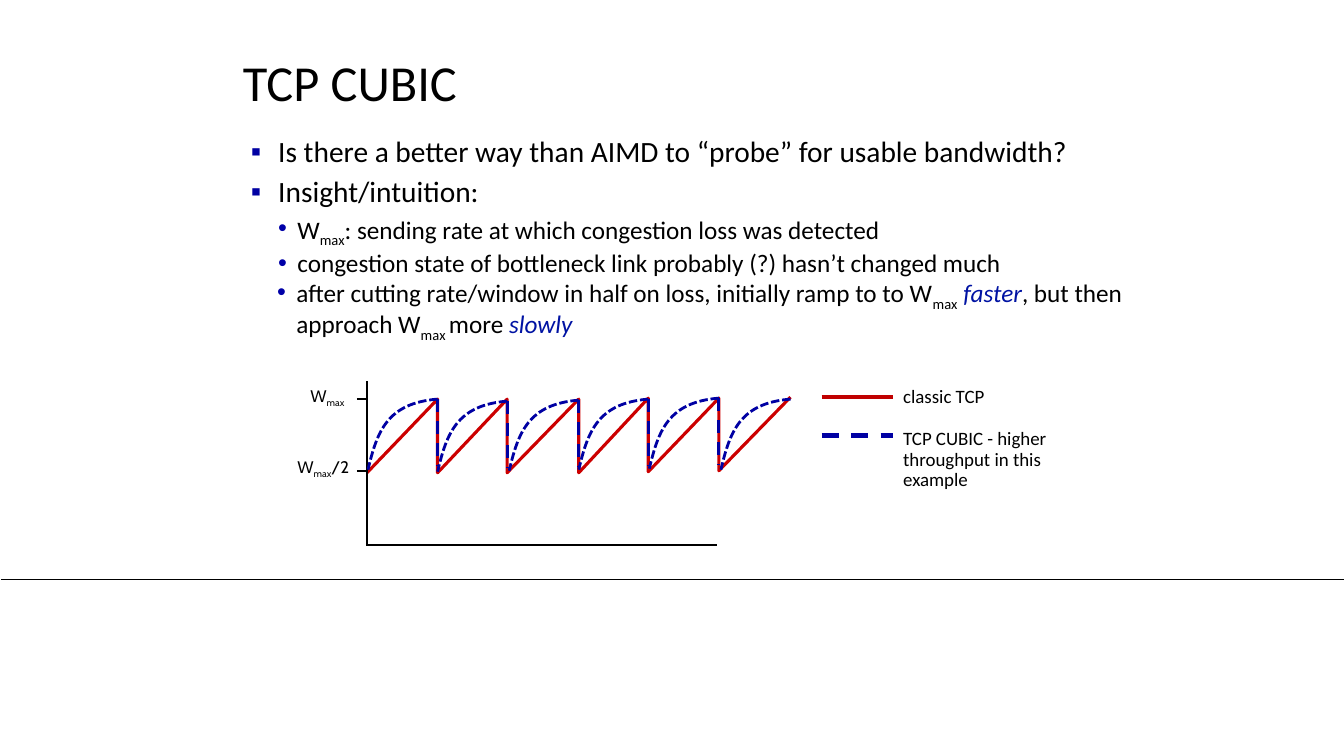
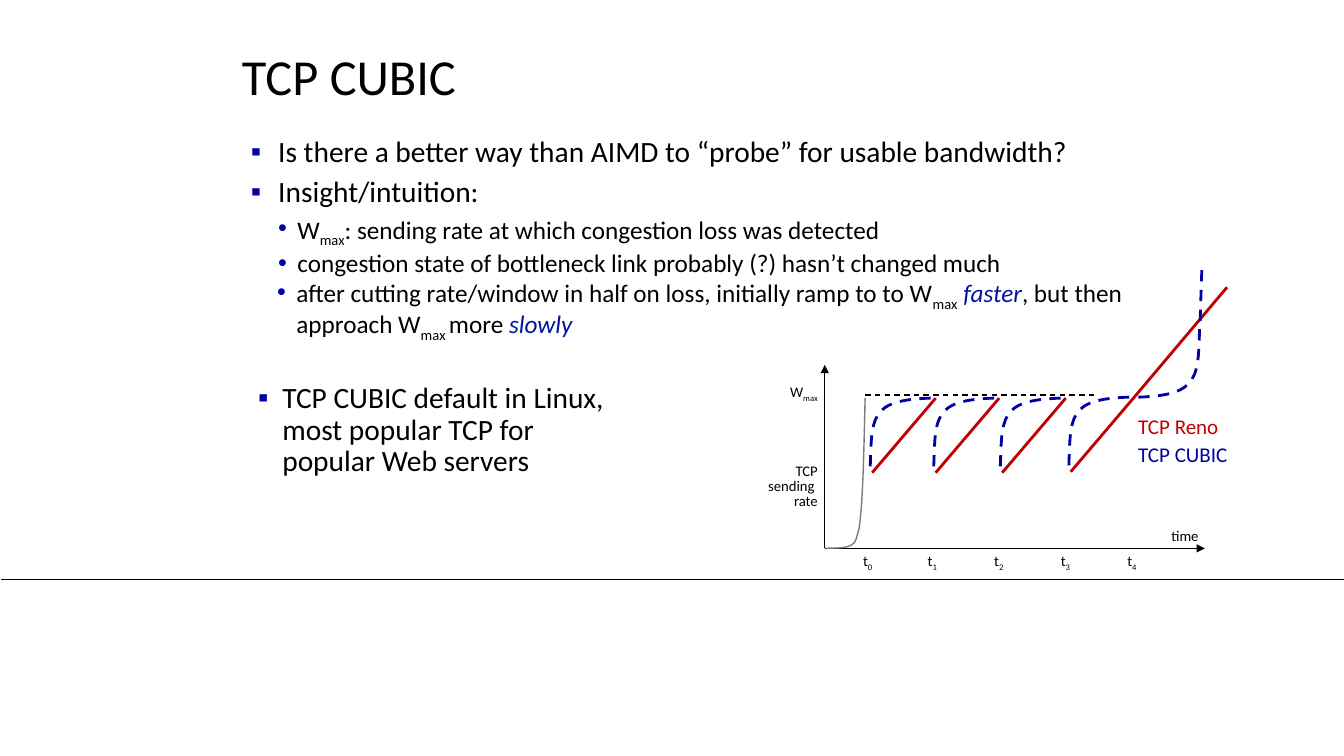
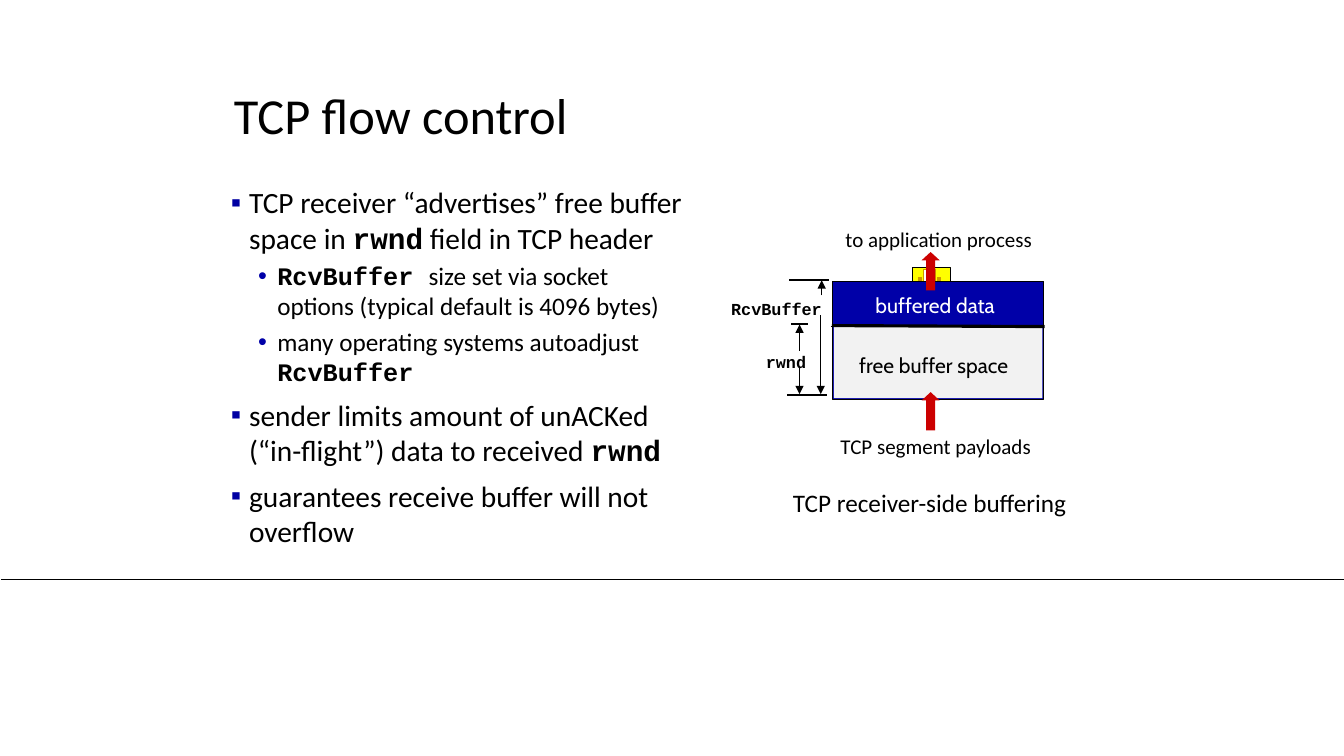
from dataclasses import dataclass
from typing import Optional, Sequence

from lxml.etree import SubElement
from pptx import Presentation
from pptx.dml.color import RGBColor
from pptx.enum.dml import MSO_LINE
from pptx.enum.shapes import MSO_CONNECTOR, MSO_SHAPE
from pptx.enum.text import MSO_ANCHOR, MSO_AUTO_SIZE, PP_ALIGN
from pptx.oxml.ns import qn
from pptx.presentation import Presentation as Deck
from pptx.slide import Slide
from pptx.util import Inches, Pt

BLACK = RGBColor(0x00, 0x00, 0x00)
WHITE = RGBColor(0xFF, 0xFF, 0xFF)
RED = RGBColor(0xCC, 0x00, 0x00)
DARK_RED = RGBColor(0xC0, 0x00, 0x00)
BLUE = RGBColor(0x00, 0x00, 0xA3)
BUFFER_BLUE = RGBColor(0x00, 0x00, 0xA8)
EMPHASIS_BLUE = RGBColor(0x00, 0x13, 0xA3)
GRAY = RGBColor(0x7C, 0x7C, 0x7C)
LIGHT_GRAY = RGBColor(0xF2, 0xF2, 0xF2)
YELLOW = RGBColor(0xFF, 0xFF, 0x00)
GOLD = RGBColor(0xCC, 0x99, 0x00)

BODY_FONT = "Calibri"
LABEL_FONT = "Cabin"
CODE_FONT = "Courier New"
BULLET_FONT = "Arial"

Point = tuple[float, float]
Curve = tuple[Point, Point, Point]
Area = tuple[float, float, float, float]


@dataclass(frozen=True)
class Span:
    text: str
    color: RGBColor = BLACK
    font: str = BODY_FONT
    bold: bool = False
    italic: bool = False
    subscript: bool = False


@dataclass(frozen=True)
class BulletStyle:
    symbol: str
    color: RGBColor
    margin: float
    hanging: float
    level: int = 0


@dataclass(frozen=True)
class Para:
    spans: Sequence[Span]
    size: float
    align: PP_ALIGN = PP_ALIGN.LEFT
    line_spacing: float = 1.0
    space_before: float = 0
    bullet: Optional[BulletStyle] = None


@dataclass(frozen=True)
class Stroke:
    color: RGBColor
    width: float
    dash: Optional[MSO_LINE] = None


SQUARE = BulletStyle("▪", BLUE, 0.38, 0.27)
SHORT_SQUARE = BulletStyle("▪", BLUE, 0.38, 0.24)
NARROW_SQUARE = BulletStyle("▪", BLUE, 0.29, 0.18)
DOT = BulletStyle("•", BUFFER_BLUE, 0.57, 0.19, 1)

HAIRLINE = Stroke(BLACK, 0.5)
THIN = Stroke(BLACK, 0.75)
AXIS = Stroke(BLACK, 1)
THICK = Stroke(BLACK, 1.5)


def code(text: str) -> Span:
    return Span(text, font=CODE_FONT, bold=True)


def sub(text: str, font: str = BODY_FONT) -> Span:
    return Span(text, font=font, subscript=True)


def main_point(*spans: Span, bullet: BulletStyle = SQUARE, spacing: float = 0.9) -> Para:
    return Para(spans, 21, line_spacing=spacing, space_before=7.5, bullet=bullet)


def sub_point(*spans: Span, spacing: float = 0.9) -> Para:
    return Para(spans, 18, line_spacing=spacing, space_before=3.8, bullet=DOT)


def add_bullet(paragraph, style: BulletStyle) -> None:
    paragraph.level = style.level
    properties = paragraph._p.get_or_add_pPr()
    properties.set("marL", str(Inches(style.margin)))
    properties.set("indent", str(-Inches(style.hanging)))
    color = SubElement(properties, qn("a:buClr"))
    SubElement(color, qn("a:srgbClr")).set("val", str(style.color))
    SubElement(properties, qn("a:buFont")).set("typeface", BULLET_FONT)
    SubElement(properties, qn("a:buChar")).set("char", style.symbol)


def write_paras(frame, paras: Sequence[Para]) -> None:
    for index, para in enumerate(paras):
        paragraph = frame.add_paragraph() if index else frame.paragraphs[0]
        if para.bullet:
            add_bullet(paragraph, para.bullet)
        paragraph.alignment = para.align
        paragraph.line_spacing = para.line_spacing
        paragraph.space_before = Pt(para.space_before if index else 0)
        for span in para.spans:
            run = paragraph.add_run()
            run.text = span.text
            font = run.font
            font.name, font.size = span.font, Pt(para.size)
            font.bold, font.italic = span.bold, span.italic
            font.color.rgb = span.color
            if span.subscript:
                run._r.get_or_add_rPr().set("baseline", "-25000")


def add_text(page: Slide, area: Area, *paras: Para, wrap: bool = False) -> None:
    frame = page.shapes.add_textbox(*map(Inches, area)).text_frame
    frame.word_wrap = wrap
    frame.auto_size = MSO_AUTO_SIZE.SHAPE_TO_FIT_TEXT
    write_paras(frame, paras)


def add_body(page: Slide, area: Area, *paras: Para) -> None:
    frame = page.shapes.add_textbox(*map(Inches, area)).text_frame
    frame.word_wrap = True
    frame.margin_left = frame.margin_right = Inches(0.07)
    frame.margin_top = frame.margin_bottom = Inches(0.04)
    write_paras(frame, paras)


def apply_stroke(line, stroke: Stroke) -> None:
    line.color.rgb = stroke.color
    line.width = Pt(stroke.width)
    if stroke.dash:
        line.dash_style = stroke.dash


def add_line(page: Slide, start: Point, end: Point, stroke: Stroke, arrow: bool = False):
    connector = page.shapes.add_connector(
        MSO_CONNECTOR.STRAIGHT, *map(Inches, start), *map(Inches, end)
    )
    apply_stroke(connector.line, stroke)
    if arrow:
        outline = connector.line._get_or_add_ln()
        SubElement(outline, qn("a:tailEnd")).set("type", "triangle")
    SubElement(connector._element.spPr, qn("a:effectLst"))
    return connector


def add_outline(page: Slide, points: Sequence[Point], stroke: Stroke):
    first, *rest = [(Inches(x), Inches(y)) for x, y in points]
    builder = page.shapes.build_freeform(*first)
    builder.add_line_segments(rest, close=False)
    shape = builder.convert_to_shape()
    shape.shadow.inherit = False
    shape.fill.background()
    apply_stroke(shape.line, stroke)
    return shape


def add_curve(page: Slide, start: Point, curves: Sequence[Curve], stroke: Stroke) -> None:
    shape = add_outline(page, [start, *(curve[-1] for curve in curves)], stroke)
    segments = list(shape._element.iter(qn("a:lnTo")))
    for segment, curve in zip(segments, curves):
        bend = segment.getparent().makeelement(qn("a:cubicBezTo"))
        for x, y in curve:
            point = SubElement(bend, qn("a:pt"))
            point.set("x", str(Inches(x) - shape.left))
            point.set("y", str(Inches(y) - shape.top))
        segment.getparent().replace(segment, bend)


def add_ramp(page: Slide, offsets: Sequence[Point], left: float, top: float, stroke: Stroke):
    start, *curve = [(left + x, top + y) for x, y in offsets]
    add_curve(page, start, [tuple(curve)], stroke)


def add_block(
    page: Slide, kind: MSO_SHAPE, area: Area, fill: RGBColor, stroke: Optional[Stroke] = None
):
    shape = page.shapes.add_shape(kind, *map(Inches, area))
    shape.shadow.inherit = False
    shape.fill.solid()
    shape.fill.fore_color.rgb = fill
    if stroke:
        apply_stroke(shape.line, stroke)
    else:
        shape.line.fill.background()
    return shape


def new_page(deck: Deck, title: str, left: float, top: float) -> Slide:
    page = deck.slides.add_slide(deck.slide_layouts[5])
    box = page.shapes.title
    box.left, box.top = Inches(left), Inches(top)
    box.width, box.height = Inches(9.34), Inches(0.73)
    frame = box.text_frame
    frame.vertical_anchor = MSO_ANCHOR.MIDDLE
    frame.auto_size = MSO_AUTO_SIZE.NONE
    write_paras(frame, [Para([Span(title)], 36, line_spacing=0.9)])
    return page


def add_layout_rule(page: Slide) -> None:
    rule = add_line(page, (0.01, 5.75), (13.35, 5.75), HAIRLINE)
    page.slide_layout.shapes._spTree.append(rule._element)


def add_cubic_insight(page: Slide) -> None:
    add_body(
        page,
        (2.31, 1.32, 9.16, 3.81),
        main_point(Span("Is there a better way than AIMD to “probe” for usable bandwidth?")),
    )
    add_body(
        page,
        (2.31, 1.72, 9.16, 3.81),
        main_point(Span("Insight/intuition:")),
        sub_point(
            Span("W"), sub("max"), Span(": sending rate at which congestion loss was detected")
        ),
        sub_point(Span("congestion state of bottleneck link probably (?) hasn’t changed much")),
    )
    add_body(
        page,
        (2.3, 2.72, 9.16, 0.74),
        sub_point(
            Span("after cutting rate/window in half on loss, initially ramp to to W"),
            sub("max"),
            Span(" faster", EMPHASIS_BLUE, italic=True),
            Span(", but then approach W"),
            sub("max "),
            Span("more "),
            Span("slowly", EMPHASIS_BLUE, italic=True),
        ),
    )


def build_sawtooth(deck: Deck) -> None:
    page = new_page(deck, "TCP CUBIC", 2.31, 0.48)
    add_layout_rule(page)
    add_cubic_insight(page)

    edges = (3.64, 4.34, 5.03, 5.74, 6.43, 7.13, 7.84)
    valleys = (4.69, 4.69, 4.69, 4.69, 4.68, 4.67)
    crests = (3.96, 3.96, 3.96, 3.95, 3.95, 3.94)
    sawtooth = [
        point
        for left, right, valley, crest in zip(edges, edges[1:], valleys, crests)
        for point in ((left, valley), (right, crest))
    ]
    add_outline(page, sawtooth, Stroke(RED, 2.25))

    add_line(page, (3.63, 5.41), (7.11, 5.41), THICK)
    add_line(page, (3.64, 3.78), (3.64, 5.42), THICK)
    for tick in (3.96, 4.67):
        add_line(page, (3.54, tick), (3.64, tick), THICK)
    w_max = [Span("W", font=LABEL_FONT), sub("max", LABEL_FONT)]
    add_text(page, (2.98, 3.78, 0.57, 0.3), Para(w_max, 12))
    add_text(page, (2.85, 4.48, 0.72, 0.3), Para([*w_max, Span("/2", font=LABEL_FONT)], 12))

    ramp = ((0, 0), (-0.5, 0.04), (-0.6, 0.32), (-0.69, 0.7))
    tops = (3.96, 3.98, 3.97, 3.96, 3.95, 3.96)
    for x, top in zip(edges[1:], tops):
        add_ramp(page, ramp, x, top, Stroke(BLUE, 2, MSO_LINE.SQUARE_DOT))
        if x < edges[-1]:
            add_line(page, (x, top), (x, top + 0.66), Stroke(BLUE, 2.25, MSO_LINE.DASH))

    add_line(page, (8.15, 3.94), (8.86, 3.94), Stroke(DARK_RED, 3))
    add_line(page, (8.15, 4.32), (8.86, 4.32), Stroke(BLUE, 3, MSO_LINE.DASH))
    add_text(page, (8.86, 3.77, 1.02, 0.33), Para([Span("classic TCP")], 13.5))
    add_text(
        page,
        (8.86, 4.21, 1.79, 0.71),
        Para([Span("TCP CUBIC - higher throughput in this example")], 13.5, line_spacing=0.9),
        wrap=True,
    )


def build_comparison(deck: Deck) -> None:
    page = new_page(deck, "TCP CUBIC", 2.3, 0.42)

    def axis_label(*spans: Span) -> Para:
        return Para(spans, 10.5, PP_ALIGN.RIGHT, 0.85)

    add_text(
        page,
        (7.51, 4.56, 0.7, 0.75),
        *(axis_label(Span(word)) for word in ("TCP", "sending ", "rate")),
    )
    origin = (8.18, 5.44)
    add_line(page, origin, (11.95, 5.44), AXIS, arrow=True)
    add_line(page, origin, (8.18, 3.62), AXIS, arrow=True)
    slow_start = (
        ((8.57, 4.4), (8.56, 4.83), (8.54, 5.06)),
        ((8.52, 5.29), (8.52, 5.24), (8.49, 5.35)),
        ((8.46, 5.46), (8.26, 5.43), (8.19, 5.44)),
    )
    add_curve(page, (8.58, 3.95), slow_start, Stroke(GRAY, 1))
    add_line(page, (8.58, 3.92), (10.86, 3.92), Stroke(BLACK, 1, MSO_LINE.DASH))

    reno, cubic = Stroke(DARK_RED, 2), Stroke(BLUE, 2, MSO_LINE.DASH)
    ramp = ((0.58, 0), (-0.04, 0.02), (0, 0.19), (-0.02, 0.73))
    for x, top in ((8.65, 3.95), (9.28, 3.95), (9.94, 3.95), (10.62, 3.94)):
        add_line(page, (x + 0.63, top), (x, top + 0.74), reno)
        add_ramp(page, ramp, x, top, cubic)
    add_line(page, (11.25, 3.94), (12.17, 2.85), reno)
    add_curve(page, (11.29, 3.94), [((11.92, 3.92), (11.88, 3.73), (11.9, 3.19))], cubic)
    add_line(page, (11.92, 2.68), (11.9, 3.27), cubic)

    add_text(page, (11.52, 5.18, 0.48, 0.28), Para([Span("time")], 10.5))
    legend = (Span("TCP Reno", DARK_RED), Span("TCP CUBIC", BLUE))
    add_text(
        page,
        (11.19, 4.09, 1.09, 0.8),
        *(Para([span], 15, line_spacing=0.85, space_before=4.5) for span in legend),
    )
    add_text(page, (7.71, 3.76, 0.5, 0.25), axis_label(Span("W"), sub("max")))
    for i, mark in enumerate(("0", "1 ", "2 ", "3 ", "4 ")):
        add_text(page, (8.43 + 0.66 * i, 5.44, 0.32, 0.25), axis_label(Span("t"), sub(mark)))

    add_body(
        page,
        (2.35, 3.76, 3.98, 1.66),
        main_point(
            Span("TCP CUBIC default in Linux, most popular TCP for popular Web servers"),
            bullet=SHORT_SQUARE,
        ),
    )
    add_cubic_insight(page)


def build_flow_control(deck: Deck) -> None:
    page = new_page(deck, "TCP flow control", 2.22, 0.81)

    def point(*spans: Span) -> Para:
        return main_point(*spans, bullet=NARROW_SQUARE, spacing=1.0)

    add_body(
        page,
        (2.11, 1.79, 4.78, 4.02),
        point(
            Span("TCP receiver “advertises” free buffer space in "),
            code("rwnd"),
            Span(" field in TCP header"),
        ),
        sub_point(
            code("RcvBuffer "),
            Span("size set via socket options (typical default is 4096 bytes)"),
            spacing=1.0,
        ),
        sub_point(
            Span("many operating systems autoadjust "), code("RcvBuffer"), spacing=1.0
        ),
        point(
            Span("sender limits amount of unACKed (“in-flight”) data to received "), code("rwnd")
        ),
        point(Span("guarantees receive buffer will not overflow")),
    )

    gold_line = Stroke(GOLD, 0.75)
    add_block(page, MSO_SHAPE.RECTANGLE, (9.05, 2.65, 0.38, 0.17), YELLOW, THIN)
    add_block(page, MSO_SHAPE.RECTANGLE, (9.16, 2.67, 0.12, 0.13), WHITE, gold_line)
    for x in (9.3, 9.11):
        add_block(page, MSO_SHAPE.RECTANGLE, (x, 2.75, 0.03, 0.05), GOLD, gold_line)
    add_block(page, MSO_SHAPE.RECTANGLE, (8.26, 2.79, 2.09, 1.17), BUFFER_BLUE, THIN)
    add_line(page, (8.24, 3.24), (10.35, 3.24), THIN)
    arrow_area = (9.14, 2.5, 0.18, 0.38)
    free_area = (8.27, 3.23, 2.07, 0.72)
    payload_area = (9.14, 3.89, 0.18, 0.38)
    for kind, area, fill in (
        (MSO_SHAPE.UP_ARROW, arrow_area, RED),
        (MSO_SHAPE.RECTANGLE, free_area, LIGHT_GRAY),
        (MSO_SHAPE.UP_ARROW, payload_area, RED),
    ):
        block = add_block(page, kind, area, fill)
        if kind == MSO_SHAPE.UP_ARROW:
            block.adjustments[0], block.adjustments[1] = 0.5, 0.46
    add_line(page, (8.25, 3.23), (10.36, 3.24), Stroke(BLACK, 2.25))

    for area, span in (
        ((8.55, 2.85, 1.45, 0.35), Span("buffered data", WHITE, LABEL_FONT)),
        ((8.37, 3.45, 1.78, 0.35), Span("free buffer space", font=LABEL_FONT)),
        ((8.22, 4.25, 2.12, 0.35), Span("TCP segment payloads")),
        ((8.27, 2.2, 2.08, 0.35), Span("to application process")),
    ):
        add_text(page, area, Para([span], 15, PP_ALIGN.CENTER))
    add_text(page, (7.49, 3.44, 0.61, 0.3), Para([code("rwnd")], 12, PP_ALIGN.CENTER))
    add_text(page, (7.13, 2.91, 1.12, 0.3), Para([code("RcvBuffer")], 12, PP_ALIGN.RIGHT))
    caption = Para([Span("TCP receiver-side buffering")], 18, PP_ALIGN.CENTER)
    add_text(page, (7.73, 4.79, 2.98, 0.4), caption)

    for start, end in (
        ((7.93, 3.48), (7.93, 3.22)),
        ((7.93, 3.65), (7.93, 3.91)),
        ((8.15, 2.93), (8.15, 2.78)),
        ((8.14, 3.13), (8.14, 3.91)),
    ):
        add_line(page, start, end, THIN, arrow=True)
    for left, right, y in ((7.81, 8.2, 3.92), (7.85, 8.01, 3.21), (7.83, 8.22, 2.78)):
        add_line(page, (left, y), (right, y), THICK)


def main() -> None:
    deck = Presentation()
    deck.slide_width, deck.slide_height = Inches(13.33), Inches(7.5)
    build_sawtooth(deck)
    build_comparison(deck)
    build_flow_control(deck)
    deck.save("out.pptx")


if __name__ == "__main__":
    main()
